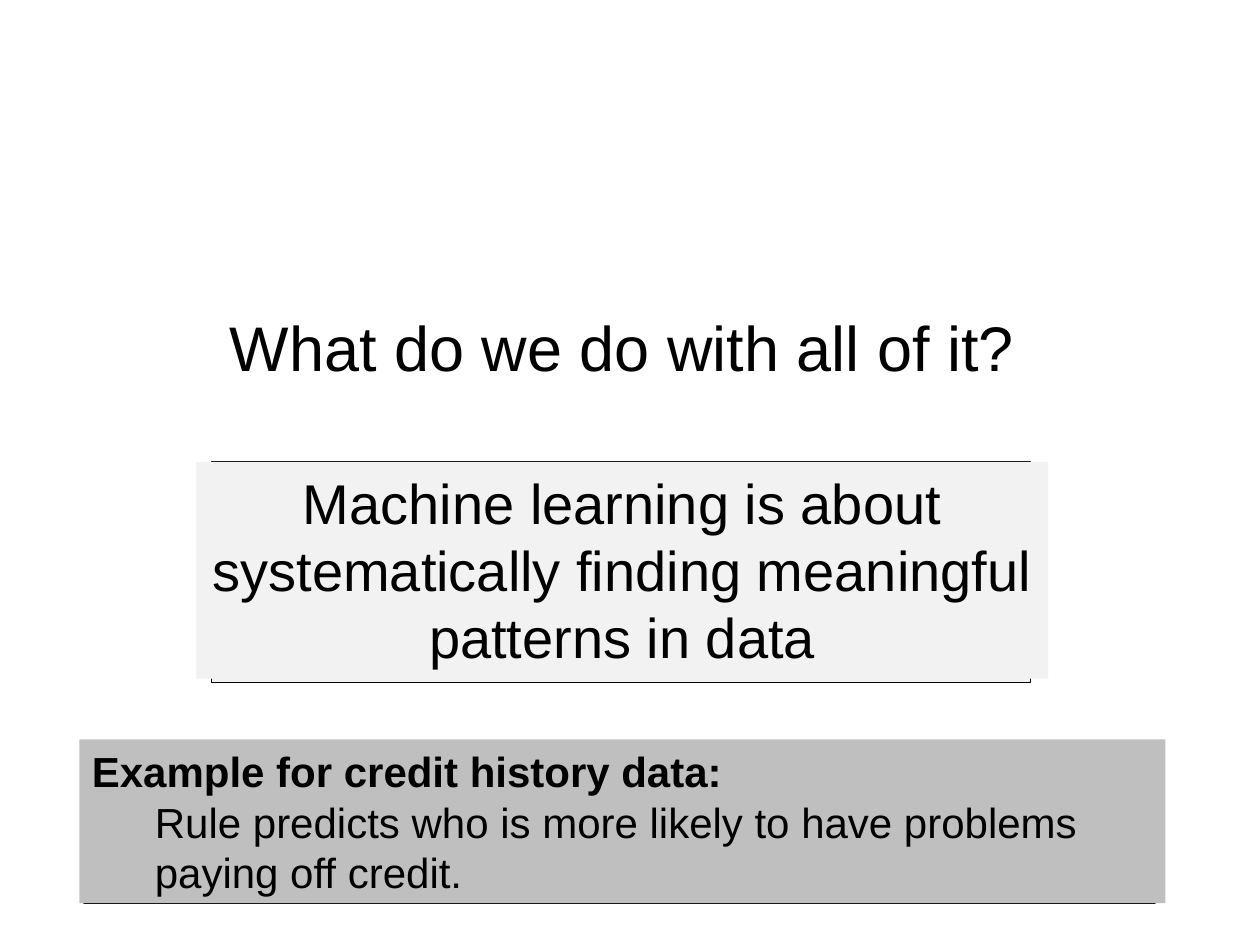
from lxml.etree import SubElement
from pptx import Presentation
from pptx.dml.color import RGBColor
from pptx.enum.shapes import MSO_SHAPE as Shape
from pptx.enum.text import MSO_ANCHOR as Anchor, MSO_AUTO_SIZE as AutoSize, PP_ALIGN as Align
from pptx.oxml.ns import qn
from pptx.util import Pt

COLORS = {
    "background": "FFFFFF",
    "text": "000000",
    "line": "000000",
    "statement": "F2F2F2",
    "example_frame": "4F81BD",
    "example": "BFBFBF",
}
TAB_POSITION = Pt(36)


def color(name):
    return RGBColor.from_string(COLORS[name])


def set_values(target, values):
    for name, value in values.items():
        setattr(target, name, value)


def place(shape, left, top, width, height):
    box = {"left": left, "top": top, "width": width, "height": height}
    set_values(shape, {name: Pt(value) for name, value in box.items()})


def add_tab_stop(paragraph):
    properties = paragraph._p.get_or_add_pPr()
    tabs = SubElement(properties, qn("a:tabLst"))
    SubElement(tabs, qn("a:tab"), pos=str(TAB_POSITION), algn="l")


def format_paragraph(paragraph, text, size, alignment, bold=False):
    paragraph.text = text
    paragraph.alignment = alignment
    if text.startswith("\t"):
        add_tab_stop(paragraph)
    font = paragraph.runs[0].font
    set_values(font, {"name": "Arial", "size": Pt(size), "bold": bold})
    font.color.rgb = color("text")


def add_title(slide, text, box):
    title = slide.shapes.title
    place(title, *box)
    frame = title.text_frame
    set_values(frame, {"vertical_anchor": Anchor.MIDDLE, "word_wrap": True,
                       "auto_size": AutoSize.NONE})
    format_paragraph(frame.paragraphs[0], text, 36, Align.CENTER)


def add_rectangle(group, box, fill):
    shape = group.shapes.add_shape(Shape.RECTANGLE, *map(Pt, box))
    shape.shadow.inherit = False
    shape.fill.solid()
    shape.fill.fore_color.rgb = color(fill)
    return shape


def add_frame(group, box, fill):
    shape = add_rectangle(group, box, fill)
    shape.line.color.rgb = color("line")
    shape.line.width = Pt(0.75)


def add_text_panel(group, box, fill, lines, size, alignment, bold_first=False):
    shape = add_rectangle(group, box, fill)
    shape.line.fill.background()
    frame = shape.text_frame
    set_values(frame, {"word_wrap": False, "vertical_anchor": Anchor.TOP,
                       "auto_size": AutoSize.SHAPE_TO_FIT_TEXT})
    for index, text in enumerate(lines):
        paragraph = frame.add_paragraph() if index else frame.paragraphs[0]
        format_paragraph(paragraph, text, size, alignment, bold_first and index == 0)


def main():
    presentation = Presentation()
    set_values(presentation, {"slide_width": Pt(720), "slide_height": Pt(540)})
    slide = presentation.slides.add_slide(presentation.slide_layouts[5])
    slide.background.fill.solid()
    slide.background.fill.fore_color.rgb = color("background")

    add_title(slide, "What do we do with all of it?", (70.5, 168, 570, 60))

    statement = slide.shapes.add_group_shape()
    add_frame(statement, (121, 264, 468, 126), "statement")
    add_text_panel(statement, (112.3, 264, 486.7, 123.8), "statement",
                   ["Machine learning is about",
                    "systematically finding meaningful",
                    "patterns in data"], 32, Align.CENTER)

    example = slide.shapes.add_group_shape()
    add_frame(example, (48, 426, 612, 90), "example_frame")
    add_text_panel(example, (45.4, 422.6, 620.6, 93.6), "example",
                   ["Example for credit history data:",
                    "\tRule predicts who is more likely to have problems",
                    "\tpaying off credit."], 24, Align.LEFT, bold_first=True)

    presentation.save("out.pptx")


if __name__ == "__main__":
    main()
